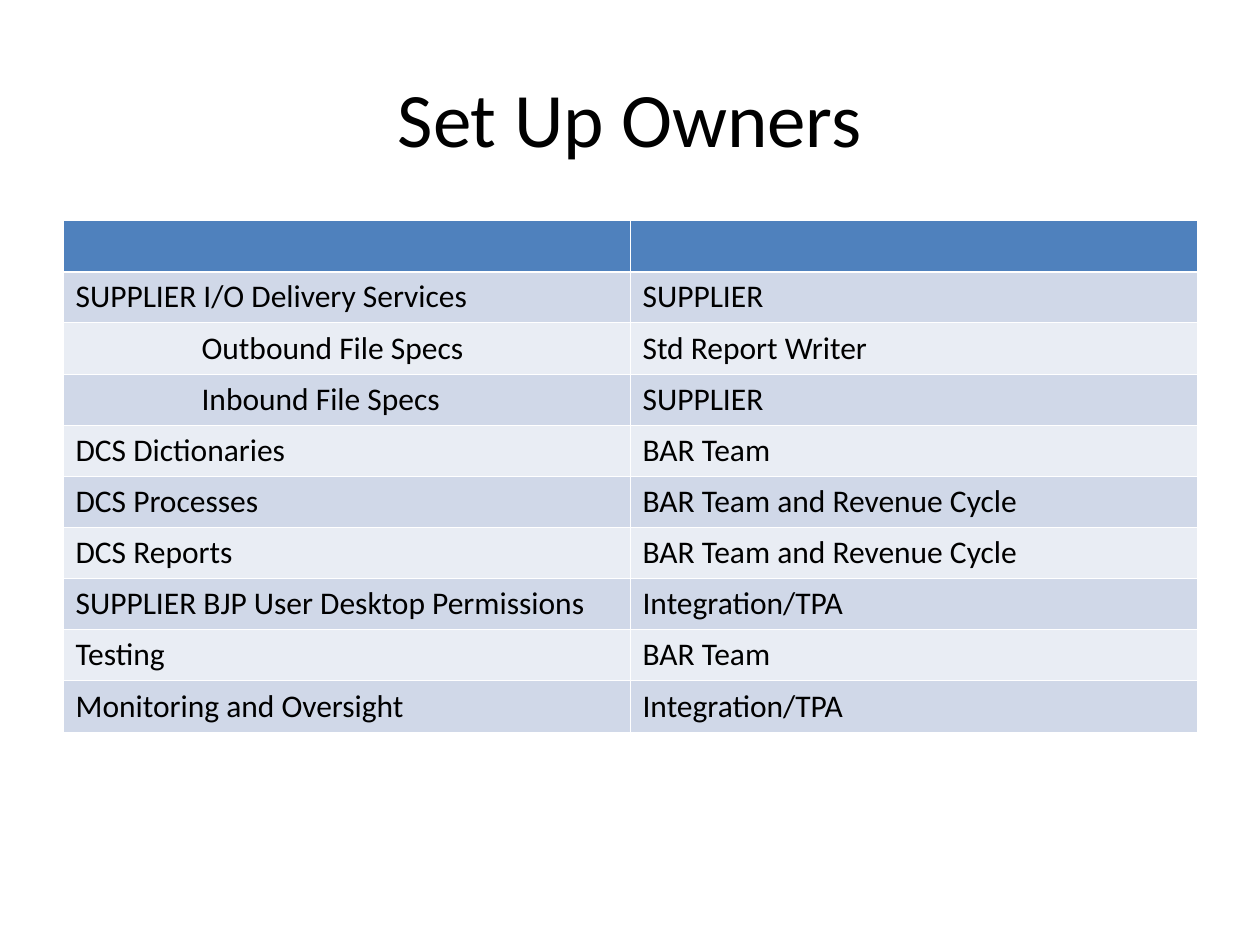
import pptx
import pptx.util
import pptx.dml.color
import pptx.enum.text
import pptx.oxml.ns
import lxml.etree

Inches = pptx.util.Inches
Pt = pptx.util.Pt
qn = pptx.oxml.ns.qn


def color(code):
    return pptx.dml.color.RGBColor.from_string(code)


def write(para, text, size):
    props = para._p.get_or_add_pPr()
    tabs = lxml.etree.SubElement(props, qn("a:tabLst"))
    for stop in range(8):
        lxml.etree.SubElement(tabs, qn("a:tab"), pos=str(Inches(stop)), algn="l")
    run = para.add_run()
    run.text = text
    run.font.size = Pt(size)
    run.font.name = "Calibri"
    run.font.color.rgb = color("000000")


deck = pptx.Presentation()
deck.slide_width = Inches(10)
deck.slide_height = Inches(7.5)
slide = deck.slides.add_slide(deck.slide_layouts[5])

title = slide.shapes.title
title.left, title.top = Inches(0.5), Inches(0.3)
title.width, title.height = Inches(9), Inches(1.25)
title.text_frame.vertical_anchor = pptx.enum.text.MSO_ANCHOR.MIDDLE
head = title.text_frame.paragraphs[0]
head.alignment = pptx.enum.text.PP_ALIGN.CENTER
write(head, "Set Up Owners", 44)

rows = [
    ("", ""),
    ("SUPPLIER I/O Delivery Services", "SUPPLIER"),
    ("\tOutbound File Specs", "Std Report Writer"),
    ("\tInbound File Specs", "SUPPLIER"),
    ("DCS Dictionaries", "BAR Team"),
    ("DCS Processes", "BAR Team and Revenue Cycle"),
    ("DCS Reports", "BAR Team and Revenue Cycle"),
    ("SUPPLIER BJP User Desktop Permissions", "Integration/TPA"),
    ("Testing", "BAR Team"),
    ("Monitoring and Oversight", "Integration/TPA"),
]
frame = slide.shapes.add_table(
    len(rows), 2, Inches(0.5), Inches(1.75), Inches(9), Inches(4.06)
)
table = frame.table

for r, row in enumerate(rows):
    for c, text in enumerate(row):
        cell = table.cell(r, c)
        cell.margin_left = cell.margin_right = Inches(0.1)
        cell.margin_top = cell.margin_bottom = Inches(0.05)
        cell.fill.solid()
        fill = "4F81BD" if r == 0 else ("E9EDF4", "D0D8E8")[r % 2]
        cell.fill.fore_color.rgb = color(fill)
        if text:
            write(cell.text_frame.paragraphs[0], text, 18)
        props = cell._tc.get_or_add_tcPr()
        for i, side in enumerate("LRTB"):
            thick = (r, side) in ((0, "B"), (1, "T"))
            line = lxml.etree.Element(
                qn("a:ln" + side), w=str(Pt(1.47 if thick else 0.45))
            )
            paint = lxml.etree.SubElement(line, qn("a:solidFill"))
            lxml.etree.SubElement(paint, qn("a:srgbClr"), val="FFFFFF")
            props.insert(i, line)

deck.save("out.pptx")
